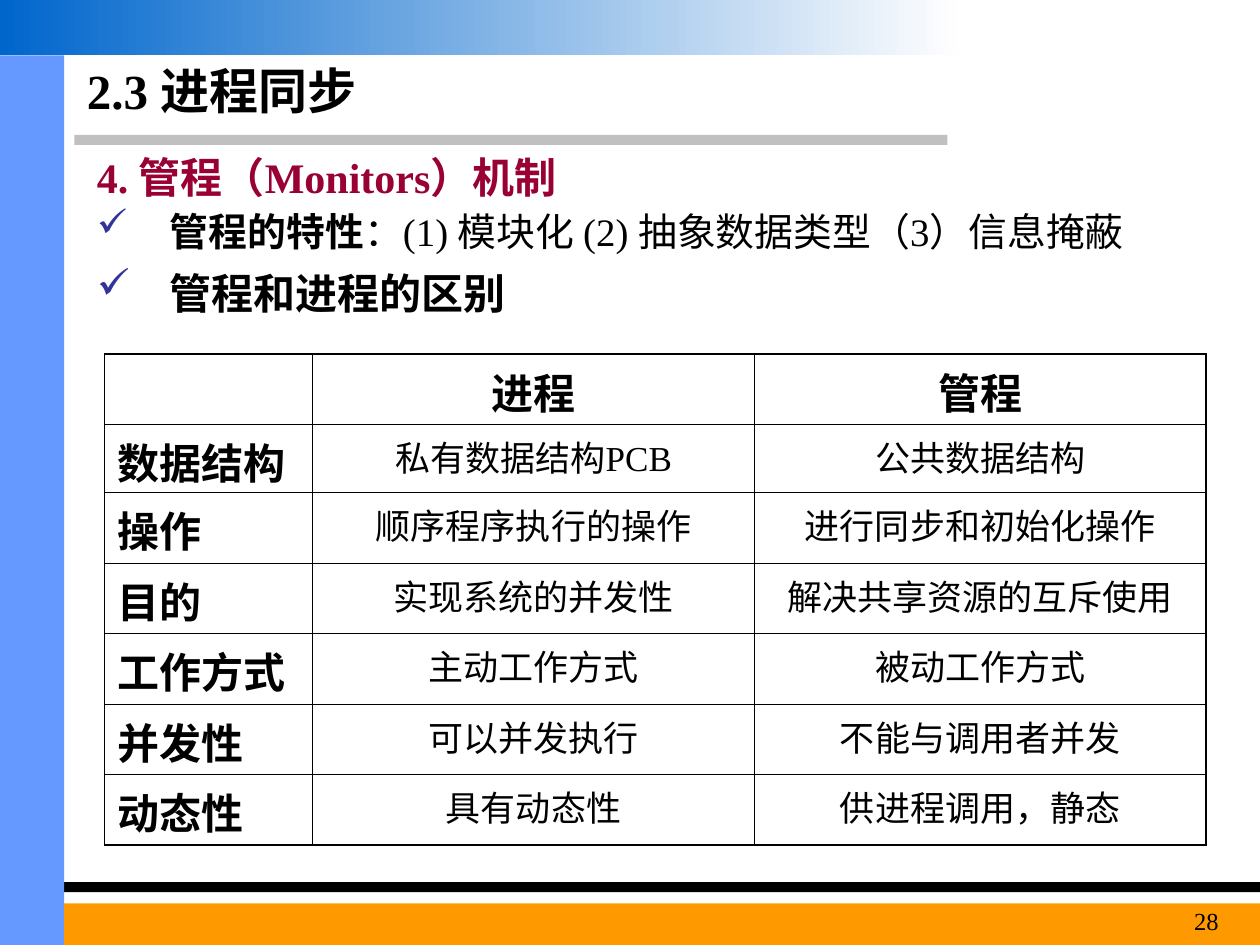
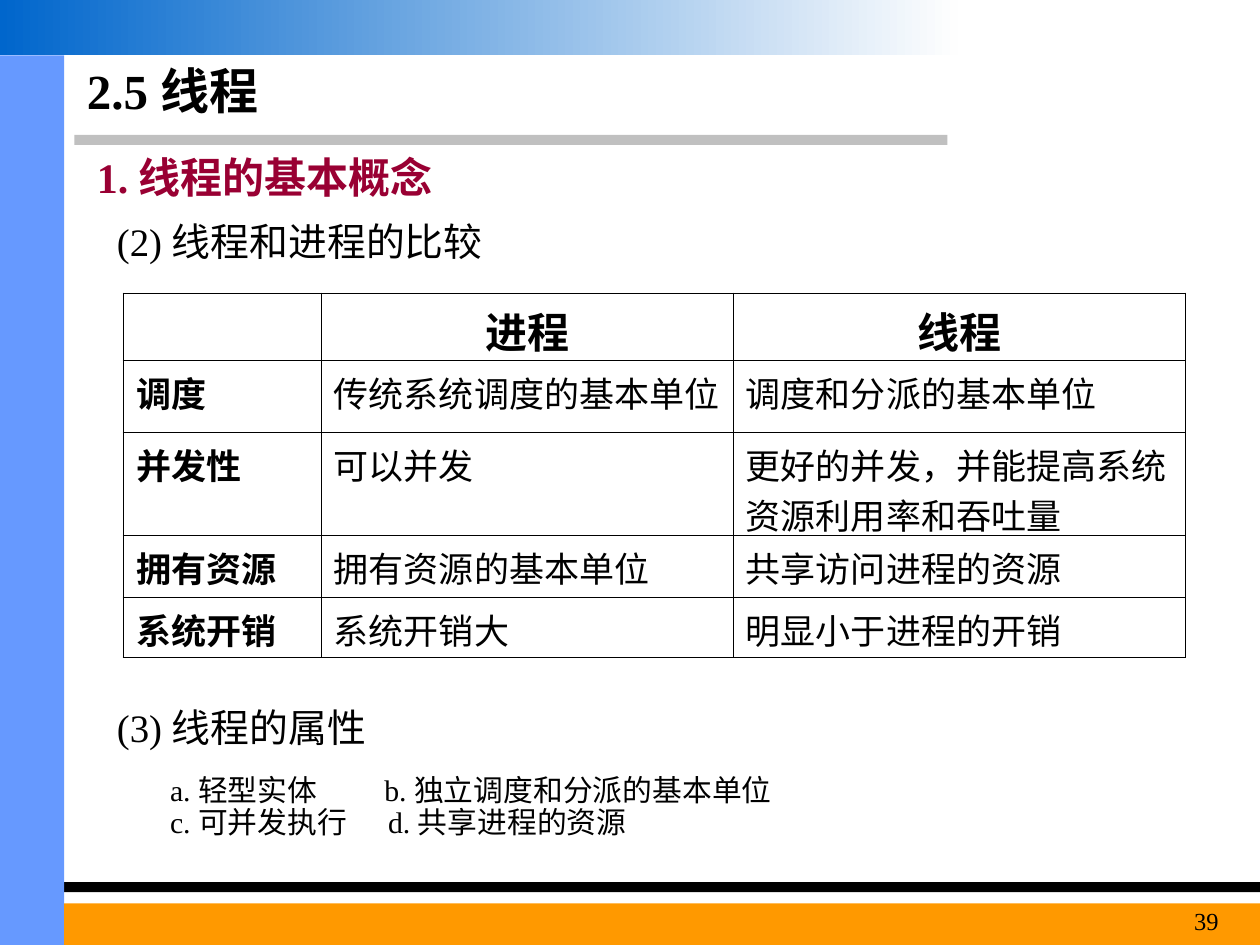
from lxml.etree import SubElement
from pptx import Presentation
from pptx.dml.color import RGBColor
from pptx.enum.shapes import MSO_SHAPE
from pptx.enum.text import MSO_ANCHOR, MSO_AUTO_SIZE, PP_ALIGN
from pptx.oxml.ns import qn
from pptx.util import Inches, Pt

BLACK = RGBColor(0x00, 0x00, 0x00)
GREY = RGBColor(0xC0, 0xC0, 0xC0)
SIDE_BLUE = RGBColor(0x66, 0x99, 0xFF)
ORANGE = RGBColor(0xFF, 0x99, 0x00)
NEAR_WHITE = RGBColor(0xFE, 0xFE, 0xFE)
DEEP_BLUE = RGBColor(0x00, 0x66, 0xCC)
CRIMSON = RGBColor(0x99, 0x00, 0x33)
CHECK_BLUE = RGBColor(0x33, 0x33, 0x99)
SERIF, SANS = "Times New Roman", "Arial"
LEFT, CENTER, RIGHT = PP_ALIGN.LEFT, PP_ALIGN.CENTER, PP_ALIGN.RIGHT
THIN, THICK = Pt(0.45), Pt(1.08)

# Shared bands: left, top, width, height, colour (None is the gradient)
BANDS = [
    (0.59, 1.07, 6.93, 0.08, GREY),
    (0, 7, 10, 0.08, BLACK),
    (0, 0.44, 0.51, 7.06, SIDE_BLUE),
    (0.51, 7.17, 9.49, 0.33, ORANGE),
    (0, 0, 7.6, 0.44, None),
]

# Content of each slide; the table's label and body styles are
# size, font, space before and alignment
PAGES = [
    dict(
        title="2.3 进程同步", heading="4. 管程（Monitors）机制", number="28",
        origin=(0.83, 2.81), widths=[1.65, 3.51, 3.58],
        heights=[0.56, 0.54] + [0.56] * 5,
        label_style=(24, SANS, 6, LEFT), body_style=(20, SERIF, 5, CENTER),
        rows=[
            ("", "进程", "管程"),
            ("数据结构", "私有数据结构PCB", "公共数据结构"),
            ("操作", "顺序程序执行的操作", "进行同步和初始化操作"),
            ("目的", "实现系统的并发性", "解决共享资源的互斥使用"),
            ("工作方式", "主动工作方式", "被动工作方式"),
            ("并发性", "可以并发执行", "不能与调用者并发"),
            ("动态性", "具有动态性", "供进程调用，静态"),
        ],
    ),
    dict(
        title="2.5 线程", heading="1. 线程的基本概念", number="39",
        origin=(0.98, 2.33), widths=[1.57, 3.27, 3.59],
        heights=[0.53, 0.57, 0.82, 0.49, 0.48],
        label_style=(20, SANS, 5, LEFT), body_style=(20, SANS, 5, LEFT),
        rows=[
            ("", "进程", "线程"),
            ("调度", "传统系统调度的基本单位", "调度和分派的基本单位"),
            ("并发性", "可以并发", "更好的并发，并能提高系统资源利用率和吞吐量"),
            ("拥有资源", "拥有资源的基本单位", "共享访问进程的资源"),
            ("系统开销", "系统开销大", "明显小于进程的开销"),
        ],
    ),
]


def write(paragraph, runs, size, font=SERIF, color=BLACK, before=0,
          align=LEFT, spacing=None):
    """Fill a paragraph with (text, bold) runs."""
    paragraph.alignment = align
    paragraph.space_before = Pt(before)
    if spacing:
        paragraph.line_spacing = spacing
    for text, bold in runs:
        run = paragraph.add_run()
        run.text = text
        run.font.size, run.font.name, run.font.bold = Pt(size), font, bold
        run.font.color.rgb = color


def add_frame(slide, left, top, width, height):
    """Add a wrapping text box and return its text frame."""
    box = slide.shapes.add_textbox(*map(Inches, (left, top, width, height)))
    box.text_frame.word_wrap = True
    return box.text_frame


prs = Presentation()
prs.slide_width, prs.slide_height = Inches(10), Inches(7.5)

for page in PAGES:
    slide = prs.slides.add_slide(prs.slide_layouts[5])

    # Bands
    for *place, color in BANDS:
        band = slide.shapes.add_shape(MSO_SHAPE.RECTANGLE, *map(Inches, place))
        band.shadow.inherit = False
        band.line.fill.background()
        if color is None:
            band.fill.gradient()
            band.fill.gradient_angle = 180
            for stop, stop_color in zip(band.fill.gradient_stops,
                                        (NEAR_WHITE, DEEP_BLUE)):
                stop.color.rgb = stop_color
        else:
            band.fill.solid()
            band.fill.fore_color.rgb = color

    # Title, heading and page number
    title = slide.shapes.title
    title.left, title.top = Inches(0.59), Inches(0.44)
    title.width, title.height = Inches(6.85), Inches(0.55)
    title.text_frame.auto_size = MSO_AUTO_SIZE.NONE
    title.text_frame.vertical_anchor = MSO_ANCHOR.MIDDLE
    write(title.text_frame.paragraphs[0], [(page["title"], True)], 28)
    heading = add_frame(slide, 0.67, 1.15, 7.24, 0.5)
    write(heading.paragraphs[0], [(page["heading"], True)], 24,
          color=CRIMSON, before=15)
    number = add_frame(slide, 8.86, 7.14, 0.91, 0.36)
    write(number.paragraphs[0], [(page["number"], False)], 14, align=RIGHT)

    # Comparison table
    rows, widths, heights = page["rows"], page["widths"], page["heights"]
    last_row, last_col = len(rows) - 1, len(widths) - 1
    size_in = (*page["origin"], sum(widths), sum(heights))
    table = slide.shapes.add_table(len(rows), len(widths),
                                   *map(Inches, size_in)).table
    table.first_row = table.horz_banding = False
    for column, width in zip(table.columns, widths):
        column.width = Inches(width)
    for r, (row, height) in enumerate(zip(rows, heights)):
        table.rows[r].height = Inches(height)
        for c, text in enumerate(row):
            cell = table.cell(r, c)
            if r == 0:
                style = (24, SANS, 6, CENTER)
            else:
                style = page["body_style"] if c else page["label_style"]
            size, font, before, align = style
            if text:
                write(cell.text_frame.paragraphs[0],
                      [(text, r == 0 or c == 0)], size, font,
                      before=before, align=align)
            # Thick outer edges, thin inner lines
            properties = cell._tc.get_or_add_tcPr()
            for side, outer in (("L", c == 0), ("R", c == last_col),
                                ("T", r == 0), ("B", r == last_row)):
                edge = SubElement(properties, qn("a:ln" + side),
                                  w=str(THICK if outer else THIN))
                edge_fill = SubElement(edge, qn("a:solidFill"))
                SubElement(edge_fill, qn("a:srgbClr"), val=str(BLACK))
            cell.fill.background()

process_slide, thread_slide = prs.slides

# Checked points on monitors
CHECKED = [
    (1.7, 9.14, 22.2, [("管程的特性", True),
                       ("：(1) 模块化 (2) 抽象数据类型（3）信息掩蔽", False)]),
    (2.18, 8.98, 24, [("管程和进程的区别", True)]),
]
for top, width, size, runs in CHECKED:
    point = add_frame(process_slide, 0.67, top, width, 0.39).paragraphs[0]
    write(point, runs, size, before=6, spacing=0.7)
    properties = point._p.get_or_add_pPr()
    properties.set("marL", str(Inches(0.58)))
    properties.set("indent", str(-Inches(0.58)))
    bullet_color = SubElement(properties, qn("a:buClr"))
    SubElement(bullet_color, qn("a:srgbClr"), val=str(CHECK_BLUE))
    SubElement(properties, qn("a:buChar"), char="✓")

# Numbered points on threads
for top, text in ((1.78, "(2) 线程和进程的比较"), (5.64, "(3) 线程的属性")):
    point = add_frame(thread_slide, 0.83, top, 4.8, 0.39).paragraphs[0]
    write(point, [(text, False)], 22.2, spacing=0.7)

# Thread attributes, two to a line with a tab between
attributes = add_frame(thread_slide, 0.75, 6.11, 8.43, 0.71)
attributes.margin_left = Inches(0.6)
ATTRIBUTES = [("a. 轻型实体", "b. 独立调度和分派的基本单位", 1.7),
              ("c. 可并发执行", "d. 共享进程的资源", 1.73)]
for i, (first, second, stop) in enumerate(ATTRIBUTES):
    line = attributes.add_paragraph() if i else attributes.paragraphs[0]
    write(line, [(first + "\t" + second, False)], 17, spacing=0.9)
    tabs = SubElement(line._p.get_or_add_pPr(), qn("a:tabLst"))
    SubElement(tabs, qn("a:tab"), pos=str(Inches(stop)), algn="l")

prs.save("out.pptx")
